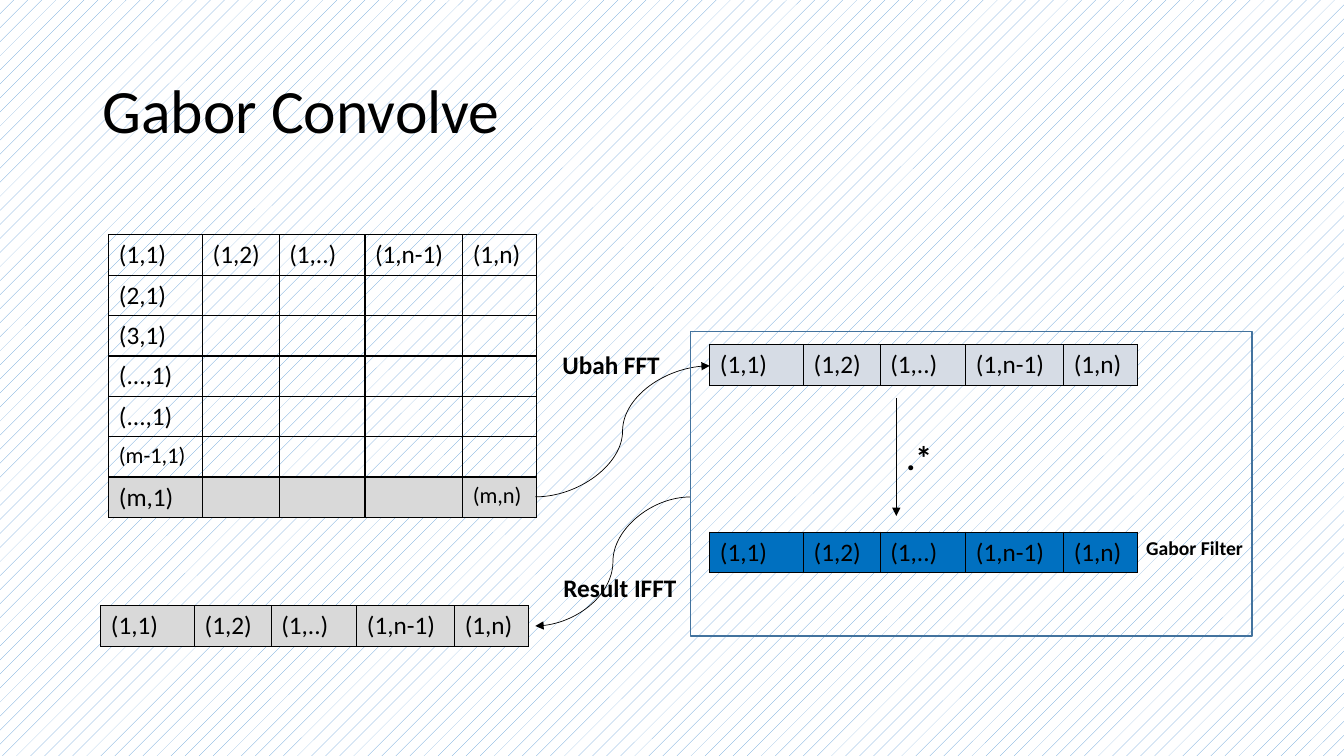
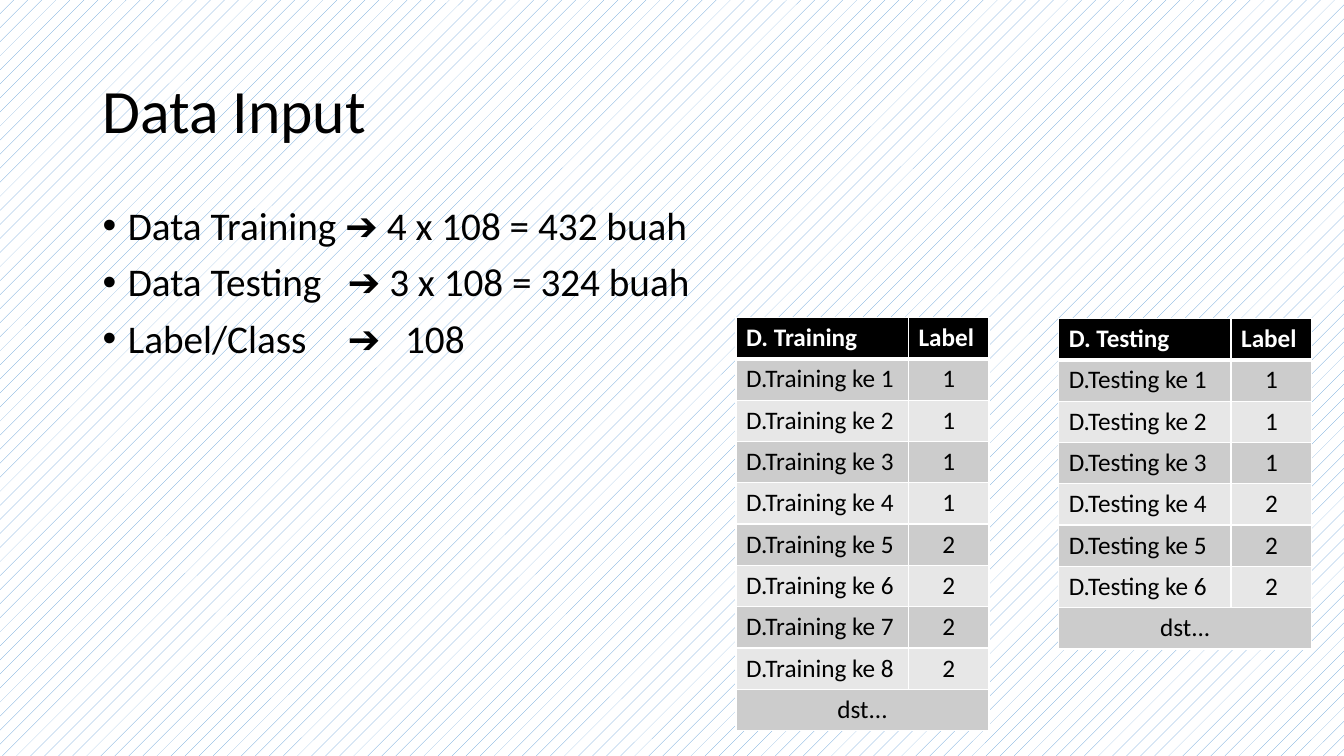
"""Build two slides on Gabor convolution and its input data."""
from dataclasses import dataclass

import lxml.etree
import pptx
import pptx.dml.color
import pptx.dml.fill
import pptx.enum.dml
import pptx.enum.shapes
import pptx.enum.text
import pptx.oxml.ns
import pptx.presentation
import pptx.shapes.connector
import pptx.slide
import pptx.table
import pptx.text.text
import pptx.util

Inches = pptx.util.Inches
Pt = pptx.util.Pt
Align = pptx.enum.text.PP_ALIGN
Connector = pptx.enum.shapes.MSO_CONNECTOR

FONT = "Calibri"
COLORS = {
    "black": "000000",
    "white": "FFFFFF",
    "pattern": "5B9BD5",
    "frame": "43739E",
    "selected": "D9D9D9",
    "transformed": "D6DCE5",
    "filter": "0070C0",
    "odd": "CCCCCC",
    "even": "E7E7E7",
}
FIRST_ROW = ["(1,1)", "(1,2)", "(1,..)", "(1,n-1)", "(1,n)"]
MATRIX_COLUMNS = [0.93, 0.76, 0.85, 0.97, 0.73]
LABEL_COLUMNS = [1.71, 0.8]


@dataclass(frozen=True)
class Label:
    text: str
    left: float
    top: float
    width: float
    height: float
    size: int = 18


@dataclass(frozen=True)
class Vector:
    left: float
    top: float
    color: str


@dataclass(frozen=True)
class Arrow:
    kind: pptx.enum.shapes.MSO_CONNECTOR
    start: tuple[float, float]
    end: tuple[float, float]


@dataclass(frozen=True)
class Dataset:
    name: str
    left: float
    top: float
    labels: list[int]


LABELS = [
    Label(".*", 8.89, 4.29, 0.52, 0.5, 24),
    Label("Ubah FFT", 5.48, 3.42, 1.93, 0.4),
    Label("Gabor Filter", 11.27, 5.27, 1.93, 0.34, 14),
    Label("Result IFFT", 5.49, 5.63, 1.93, 0.4),
]
VECTORS = [
    Vector(7.04, 3.42, "transformed"),
    Vector(1, 6.01, "selected"),
    Vector(7.04, 5.28, "filter"),
]
ARROWS = [
    Arrow(Connector.CURVE, (5.31, 4.93), (7.04, 3.63)),
    Arrow(Connector.STRAIGHT, (8.89, 3.95), (8.89, 5.12)),
    Arrow(Connector.CURVE, (6.85, 4.93), (5.31, 6.21)),
]
DATASETS = [
    Dataset("Training", 7.3, 3.15, [1] * 4 + [2] * 4),
    Dataset("Testing", 10.5, 3.16, [1] * 3 + [2] * 3),
]
SUMMARY = [
    "Data Training ➔ 4 x 108 = 432 buah",
    "Data Testing\t➔ 3 x 108 = 324 buah",
    "Label/Class\t➔\t108",
]
SUMMARY_TABS = [2.43, 3]


def rgb(name: str) -> pptx.dml.color.RGBColor:
    return pptx.dml.color.RGBColor.from_string(COLORS[name])


def add_xml(parent: lxml.etree._Element, tag: str, **attributes: str) -> lxml.etree._Element:
    child = lxml.etree.SubElement(parent, pptx.oxml.ns.qn(tag))
    for key, value in attributes.items():
        child.set(key, value)
    return child


def format_runs(
    paragraph: pptx.text.text._Paragraph, size: int, color: str = "black", bold: bool = False
) -> None:
    for run in paragraph.runs:
        run.font.name = FONT
        run.font.size = Pt(size)
        run.font.bold = bold
        run.font.color.rgb = rgb(color)


def add_text(slide: pptx.slide.Slide, label: Label, bold: bool = True) -> pptx.text.text.TextFrame:
    box = slide.shapes.add_textbox(*map(Inches, (label.left, label.top, label.width, label.height)))
    frame = box.text_frame
    frame.word_wrap = True
    frame.text = label.text
    for paragraph in frame.paragraphs:
        format_runs(paragraph, label.size, bold=bold)
    return frame


def add_titled_slide(deck: pptx.presentation.Presentation, title: str) -> pptx.slide.Slide:
    slide = deck.slides.add_slide(deck.slide_layouts[6])
    backdrop = slide.background.fill
    backdrop.patterned()
    backdrop.pattern = pptx.enum.dml.MSO_PATTERN.PERCENT_5
    backdrop.fore_color.rgb = rgb("pattern")
    backdrop.back_color.rgb = rgb("white")
    heading = add_text(slide, Label(title, 0.92, 0.4, 11.5, 1.45, 44), bold=False)
    heading.vertical_anchor = pptx.enum.text.MSO_ANCHOR.MIDDLE
    heading.paragraphs[0].line_spacing = 0.9
    return slide


def add_grid(
    slide: pptx.slide.Slide,
    left: float,
    top: float,
    columns: list[float],
    row_count: int,
    row_height: float,
) -> pptx.table.Table:
    grid = slide.shapes.add_table(
        row_count, len(columns), Inches(left), Inches(top),
        Inches(sum(columns)), Inches(row_height * row_count),
    ).table
    grid.first_row = False
    grid.horz_banding = False
    for column, width in zip(grid.columns, columns):
        column.width = Inches(width)
    for row in grid.rows:
        row.height = Inches(row_height)
    return grid


def style_cell(
    cell: pptx.table._Cell, border: str, fill: str | None, top: float = 1, bottom: float = 1
) -> None:
    properties = cell._tc.get_or_add_tcPr()
    for side, width in {"L": 1, "R": 1, "T": top, "B": bottom}.items():
        edge = add_xml(properties, f"a:ln{side}", w=str(Pt(width)))
        add_xml(add_xml(edge, "a:solidFill"), "a:srgbClr", val=COLORS[border])
    if fill:
        cell.fill.solid()
        cell.fill.fore_color.rgb = rgb(fill)
    else:
        cell.fill.background()


def write_cell(
    cell: pptx.table._Cell, text: str, size: int = 18, color: str = "black", bold: bool = False
) -> None:
    cell.text_frame.text = text
    format_runs(cell.text_frame.paragraphs[0], size, color, bold)


def add_matrix(
    slide: pptx.slide.Slide,
    left: float,
    top: float,
    rows: list[list[str]],
    fills: list[str | None],
) -> None:
    grid = add_grid(slide, left, top, MATRIX_COLUMNS, len(rows), 0.4)
    for row, texts, fill in zip(grid.rows, rows, fills):
        for cell, text in zip(row.cells, texts):
            style_cell(cell, "black", fill)
            if text:
                write_cell(cell, text, 16 if text in ("(m-1,1)", "(m,n)") else 18)


def add_arrow(slide: pptx.slide.Slide, arrow: Arrow) -> None:
    line = slide.shapes.add_connector(arrow.kind, *map(Inches, arrow.start + arrow.end))
    line.line.width = Pt(0.5)
    line.line.color.rgb = rgb("black")
    add_xml(line.line._get_or_add_ln(), "a:tailEnd", type="triangle")
    add_xml(line._element.spPr, "a:effectLst")


def add_dataset(slide: pptx.slide.Slide, dataset: Dataset) -> None:
    samples = [
        (f"D.{dataset.name} ke {number}", str(label))
        for number, label in enumerate(dataset.labels, 1)
    ]
    rows = [(f"D. {dataset.name}", "Label"), *samples, ("dst...", "")]
    grid = add_grid(slide, dataset.left, dataset.top, LABEL_COLUMNS, len(rows), 0.41)
    for index, texts in enumerate(rows):
        header = index == 0
        fill = "black" if header else "odd" if index % 2 else "even"
        for column, text in enumerate(texts):
            cell = grid.cell(index, column)
            style_cell(cell, "white", fill, 3 if index == 1 else 1, 3 if header else 1)
            if text:
                write_cell(cell, text, color="white" if header else "black", bold=header)
            if column and not header:
                cell.text_frame.paragraphs[0].alignment = Align.CENTER
    last = len(rows) - 1
    grid.cell(last, 0).merge(grid.cell(last, 1))
    grid.cell(last, 0).text_frame.paragraphs[0].alignment = Align.CENTER


def add_summary(slide: pptx.slide.Slide) -> None:
    frame = add_text(slide, Label("\n".join(SUMMARY), 0.92, 2, 11.5, 4.76, 28), bold=False)
    for paragraph in frame.paragraphs:
        paragraph.line_spacing = 0.9
        paragraph.space_before = Pt(10)
        properties = paragraph._p.get_or_add_pPr()
        properties.set("marL", str(Inches(0.25)))
        properties.set("indent", str(Inches(-0.25)))
        add_xml(properties, "a:buFont", typeface="Arial")
        add_xml(properties, "a:buChar", char="•")
        stops = add_xml(properties, "a:tabLst")
        for position in SUMMARY_TABS:
            add_xml(stops, "a:tab", pos=str(Inches(position)), algn="l")


def build_convolve(deck: pptx.presentation.Presentation) -> None:
    slide = add_titled_slide(deck, "Gabor Convolve")
    row_heads = ["(2,1)", "(3,1)", "(...,1)", "(...,1)", "(m-1,1)"]
    rows = [FIRST_ROW, *([head] + [""] * 4 for head in row_heads), ["(m,1)", "", "", "", "(m,n)"]]
    add_matrix(slide, 1.08, 2.33, rows, [None] * 6 + ["selected"])
    for vector in VECTORS:
        add_matrix(slide, vector.left, vector.top, [FIRST_ROW], [vector.color])
    for arrow in ARROWS:
        add_arrow(slide, arrow)
    frame = slide.shapes.add_shape(
        pptx.enum.shapes.MSO_SHAPE.RECTANGLE, *map(Inches, (6.85, 3.29, 5.57, 3.02))
    )
    frame.shadow.inherit = False
    frame.fill.background()
    frame.line.color.rgb = rgb("frame")
    frame.line.width = Pt(1)
    for label in LABELS:
        add_text(slide, label)


def build_data_input(deck: pptx.presentation.Presentation) -> None:
    slide = add_titled_slide(deck, "Data Input")
    add_summary(slide)
    for dataset in DATASETS:
        add_dataset(slide, dataset)


def main() -> None:
    deck = pptx.Presentation()
    deck.slide_width = Inches(13.33)
    deck.slide_height = Inches(7.5)
    build_convolve(deck)
    build_data_input(deck)
    deck.save("out.pptx")


if __name__ == "__main__":
    main()
